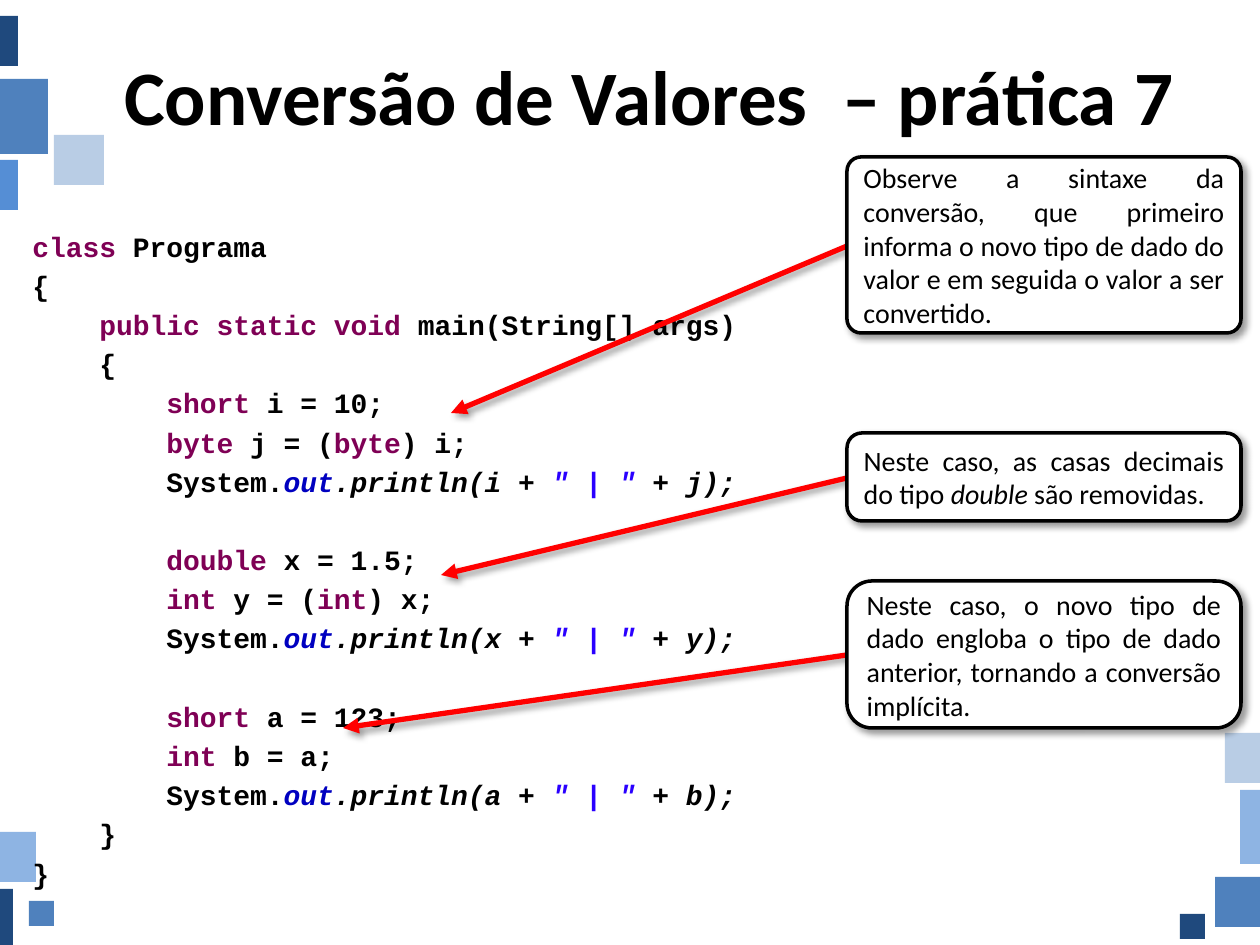
from dataclasses import dataclass

from lxml.etree import SubElement
from pptx import Presentation
from pptx.dml.color import RGBColor
from pptx.enum.shapes import MSO_CONNECTOR as Connector, MSO_SHAPE as Preset
from pptx.enum.text import MSO_ANCHOR as Anchor, PP_ALIGN as Align
from pptx.oxml.ns import qn
from pptx.util import Emu, Pt


@dataclass(frozen=True)
class Theme:
    """Colours, fonts and type sizes of the slide."""
    ink: str = "000000"
    paper: str = "FFFFFF"
    arrow: str = "FF0000"
    keyword: str = "7F0055"
    field: str = "0000C0"
    literal: str = "2A00FF"
    navy: str = "1F497D"
    blue: str = "4F81BD"
    bright: str = "558ED5"
    light: str = "8EB4E3"
    pale: str = "B9CDE5"
    sans: str = "Calibri"
    mono: str = "Courier New"
    title_size: float = 44
    text_size: float = 16
    line_gap: float = 3.2
    block_gap: float = 25.6


THEME = Theme()
INDENT = 67
CALLOUT_LEFT, CALLOUT_WIDTH = 847, 394

TILES = [
    (0, 16, 18, 50, THEME.navy),
    (0, 79, 48, 75, THEME.blue),
    (0, 160, 18, 50, THEME.bright),
    (54, 135, 50, 50, THEME.pale),
    (1215, 877, 45, 50, THEME.blue),
    (1240, 790, 20, 74, THEME.light),
    (1225, 733, 35, 50, THEME.pale),
    (1180, 914, 25, 25, THEME.navy),
    (0, 889, 13, 56, THEME.navy),
    (0, 832, 36, 50, THEME.light),
    (29, 901, 25, 25, THEME.blue),
]

CALLOUTS = [
    (157, 176, 0.08, (246, 451, 413),
     [("Observe a sintaxe da conversão, que primeiro informa o novo tipo de dado "
       "do valor e em seguida o valor a ser convertido.", False)]),
    (433, 88, 0.17, (478, 441, 575),
     [("Neste caso, as casas decimais do tipo ", False), ("double", True),
      (" são removidas.", False)]),
    (581, 147, 0.17, (655, 343, 728),
     [("Neste caso, o novo tipo de dado engloba o tipo de dado anterior, "
       "tornando a conversão implícita.", False)]),
]


def px(pixels):
    """Turn pixels into EMU."""
    return Emu(round(pixels * 914400 / 126))


def box(*lengths):
    """Turn left, top, width and height into EMU."""
    return [px(length) for length in lengths]


def rgb(colour):
    """Read a hex colour."""
    return RGBColor.from_string(colour)


def add_run(paragraph, text, font, size, colour=THEME.ink, bold=False, italic=False):
    """Append one formatted run."""
    run = paragraph.add_run()
    run.text = text
    run.font.name, run.font.size = font, Pt(size)
    run.font.bold, run.font.italic = bold, italic
    run.font.color.rgb = rgb(colour)


def cast_shadow(element):
    """Give a shape or connector the soft diagonal shadow."""
    effects = SubElement(element._element.spPr, qn("a:effectLst"))
    shadow = SubElement(effects, qn("a:outerShdw"), blurRad=str(Pt(4)),
                        dist=str(Pt(3)), dir="2700000", algn="tl", rotWithShape="0")
    black = SubElement(shadow, qn("a:srgbClr"), val=THEME.ink)
    SubElement(black, qn("a:alpha"), val="40000")


def add_tile(slide, left, top, width, height, colour):
    """Draw one decorative tile."""
    tile = slide.shapes.add_shape(Preset.RECTANGLE, *box(left, top, width, height))
    tile.shadow.inherit = False
    tile.fill.solid()
    tile.fill.fore_color.rgb = rgb(colour)
    tile.line.fill.background()


def add_title(slide, text):
    """Write the centred heading."""
    frame = slide.shapes.add_textbox(*box(54, 16, 1191, 158)).text_frame
    frame.word_wrap, frame.vertical_anchor = True, Anchor.MIDDLE
    heading = frame.paragraphs[0]
    heading.alignment = Align.CENTER
    add_run(heading, text, THEME.sans, THEME.title_size, bold=True)


def plain(text):
    """Make a plain code token."""
    return text, THEME.ink, False


def keyword(text):
    """Make a keyword token."""
    return text, THEME.keyword, False


def declare(kind, rest):
    """Make a declaration line."""
    return 2, [keyword(kind), plain(" " + rest)]


def cast(kind, target, value):
    """Make a declaration line with an explicit cast."""
    return 2, [keyword(kind), plain(f" {target} = ("), keyword(kind), plain(f") {value};")]


def show(first, second):
    """Make the line that prints two variables."""
    return 2, [plain("System."), ("out", THEME.field, True),
               (f".println({first} + ", THEME.ink, True),
               ('" | "', THEME.literal, True), (f" + {second});", THEME.ink, True)]


def program_blocks():
    """List the blocks of code, each a list of indented lines."""
    return [
        [(0, [keyword("class"), plain(" Programa")]),
         (0, [plain("{")]),
         (1, [keyword("public static void"), plain(" main(String[] args)")]),
         (1, [plain("{")]),
         declare("short", "i = 10;"), cast("byte", "j", "i"), show("i", "j")],
        [declare("double", "x = 1.5;"), cast("int", "y", "x"), show("x", "y")],
        [declare("short", "a = 123;"), declare("int", "b = a;"), show("a", "b"),
         (1, [plain("}")]),
         (0, [plain("}")])],
    ]


def add_code(slide, blocks):
    """Write the program with indents and gaps between blocks."""
    frame = slide.shapes.add_textbox(*box(20, 223, 1221, 683)).text_frame
    frame.word_wrap = True
    for block_index, block in enumerate(blocks):
        for line_index, (level, tokens) in enumerate(block):
            first = block_index == line_index == 0
            line = frame.paragraphs[0] if first else frame.add_paragraph()
            opens_block = block_index and not line_index
            line.space_before = Pt(THEME.block_gap if opens_block else THEME.line_gap)
            line._p.get_or_add_pPr().set("marL", str(px(level * INDENT)))
            for text, colour, italic in tokens:
                add_run(line, text, THEME.mono, THEME.text_size, colour, True, italic)


def add_arrow(slide, start_y, tip_x, tip_y):
    """Draw an arrow from the callout column to the code."""
    arrow = slide.shapes.add_connector(
        Connector.STRAIGHT, *box(CALLOUT_LEFT, start_y, tip_x, tip_y))
    arrow.line.color.rgb = rgb(THEME.arrow)
    arrow.line.width = Pt(3)
    SubElement(arrow.line._get_or_add_ln(), qn("a:tailEnd"), type="triangle")
    cast_shadow(arrow)


def add_callout(slide, top, height, rounding, pieces):
    """Draw a rounded note with justified text."""
    note = slide.shapes.add_shape(
        Preset.ROUNDED_RECTANGLE, *box(CALLOUT_LEFT, top, CALLOUT_WIDTH, height))
    note.adjustments[0] = rounding
    note.fill.solid()
    note.fill.fore_color.rgb = rgb(THEME.paper)
    note.line.color.rgb = rgb(THEME.ink)
    note.line.width = Pt(2)
    cast_shadow(note)
    frame = note.text_frame
    frame.word_wrap, frame.vertical_anchor = True, Anchor.MIDDLE
    remark = frame.paragraphs[0]
    remark.alignment = Align.JUSTIFY
    for text, italic in pieces:
        add_run(remark, text, THEME.sans, THEME.text_size, italic=italic)


def main():
    """Build and save the slide."""
    deck = Presentation()
    deck.slide_width, deck.slide_height = px(1260), px(945)
    slide = deck.slides.add_slide(deck.slide_layouts[6])
    for tile in TILES:
        add_tile(slide, *tile)
    add_title(slide, "Conversão de Valores  – prática 7")
    add_code(slide, program_blocks())
    for top, height, rounding, arrow, pieces in CALLOUTS:
        add_arrow(slide, *arrow)
        add_callout(slide, top, height, rounding, pieces)
    deck.save("out.pptx")


main()
